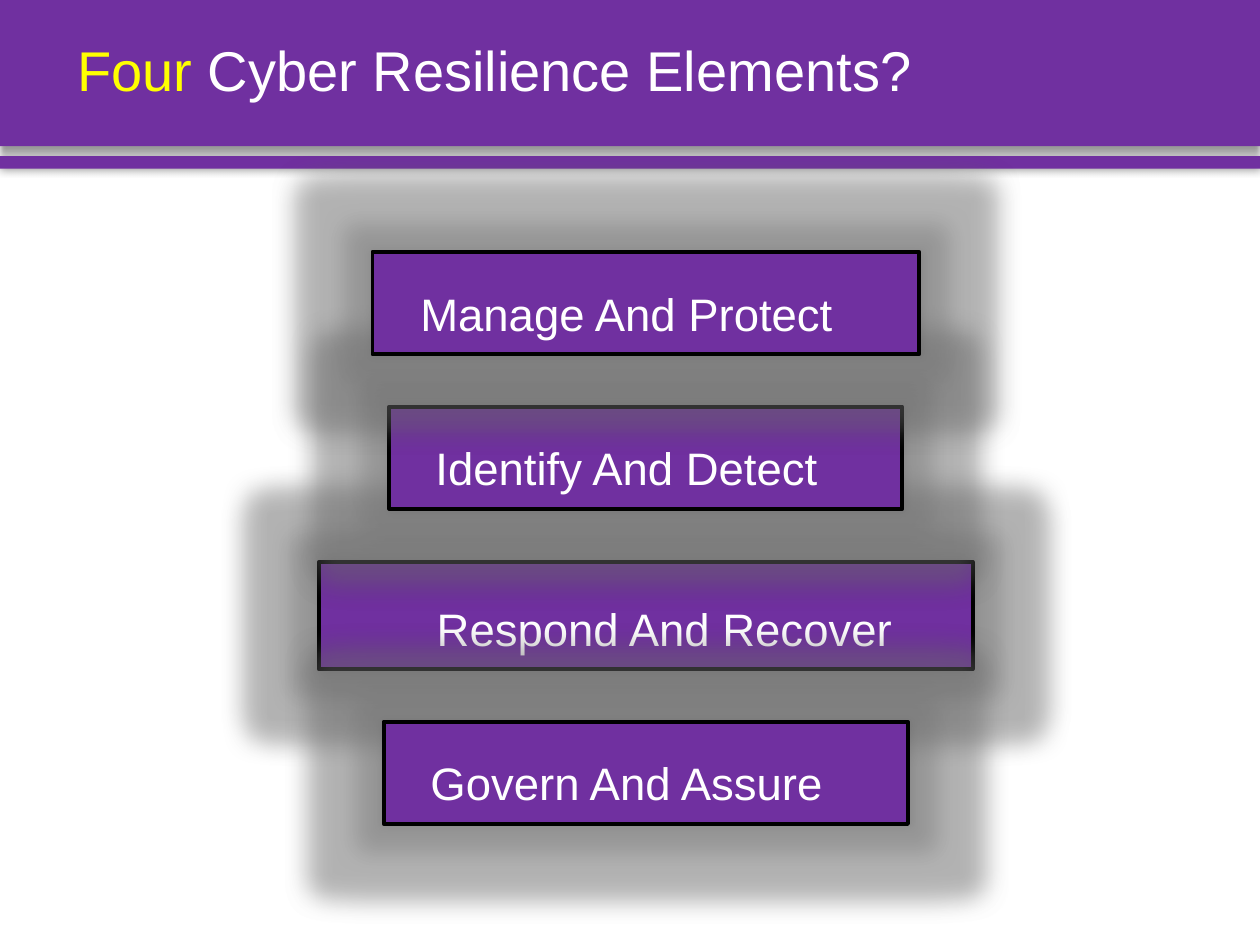
from dataclasses import dataclass
from lxml.etree import SubElement as Sub
from pptx import Presentation
from pptx.dml.color import RGBColor as Color
from pptx.enum.shapes import MSO_SHAPE as Form
from pptx.enum.text import MSO_ANCHOR as Anchor, MSO_AUTO_SIZE as Fit, PP_ALIGN as Align
from pptx.oxml.ns import qn
from pptx.util import Cm, Pt


@dataclass
class Theme:
    main: str = "7030A0"
    text: str = "FFFFFF"
    mark: str = "FFFF00"
    line: str = "000000"
    glow: str = "7F7F7F"
    font: str = "Arial"
    head: int = 32
    body: int = 26


theme = Theme()


def write(para, text, size=theme.body, color=theme.text, align=Align.LEFT, space=1):
    para.alignment = align
    para.line_spacing = space
    run = para.add_run()
    run.text = text
    run.font.name = theme.font
    run.font.size = Pt(size)
    run.font.color.rgb = Color.from_string(color)


def block(left, top, width, height, blur, dist=0, glow=0):
    shape = slide.shapes.add_shape(Form.RECTANGLE, Cm(left), Cm(top), Cm(width), Cm(height))
    shape.fill.solid()
    shape.fill.fore_color.rgb = Color.from_string(theme.main)
    shape.line.fill.background()
    shape.shadow.inherit = False
    list_ = shape._element.spPr.find(qn("a:effectLst"))
    parts = [("a:outerShdw", theme.line, {"blurRad": Pt(blur), "dist": Pt(dist),
                                          "dir": 5400000 if dist else 0,
                                          "algn": "ctr", "rotWithShape": 0})]
    if glow:
        parts.insert(0, ("a:glow", theme.glow, {"rad": Cm(glow)}))
    for tag, tint, attrs in parts:
        node = Sub(list_, qn(tag), {key: str(val) for key, val in attrs.items()})
        color = Sub(node, qn("a:srgbClr"), val=tint)
        Sub(color, qn("a:alpha"), val="40000")
    return shape


deck = Presentation()
deck.slide_width, deck.slide_height = Cm(25.4), Cm(19.05)
slide = deck.slides.add_slide(deck.slide_layouts[5])

block(0, 0, 25.4, 2.95, blur=4, dist=3)
block(0, 3.15, 25.4, 0.25, blur=5)

title = slide.shapes.title
title.left, title.top, title.width, title.height = Cm(1.3), Cm(0), Cm(23.5), Cm(2.95)
slide.shapes._spTree.append(title._element)
frame = title.text_frame
frame.word_wrap = True
frame.vertical_anchor = Anchor.MIDDLE
for text, color in [("Four", theme.mark), (" Cyber Resilience Elements?", theme.text)]:
    write(frame.paragraphs[0], text, size=theme.head, color=color, space=0.9)

middle = 13.02
items = [
    ("Respond And Recover", 11.33, 13.18, 2.16, 1.52, 0.76, 1.6),
    ("Identify And Detect", 8.2, 10.34, 2.06, 0.25, 1.02, 1.5),
    ("Govern And Assure", 14.55, 10.57, 2.06, 0.25, 1.02, 1.5),
    ("Manage And Protect", 5.08, 11.02, 2.06, 0.25, 1.02, 1.5),
]
for text, top, width, height, left, right, space in items:
    box = block(middle - width / 2, top, width, height, blur=5, glow=1)
    box.line.color.rgb = Color.from_string(theme.line)
    box.line.width = Pt(2.25)
    frame = box.text_frame
    frame.word_wrap = True
    frame.auto_size = Fit.SHAPE_TO_FIT_TEXT
    frame.vertical_anchor = Anchor.TOP
    frame.margin_left, frame.margin_right = Cm(left), Cm(right)
    frame.margin_top, frame.margin_bottom = Cm(0.13), Cm(0.25)
    write(frame.paragraphs[0], text, align=Align.CENTER, space=space)

deck.save("out.pptx")
